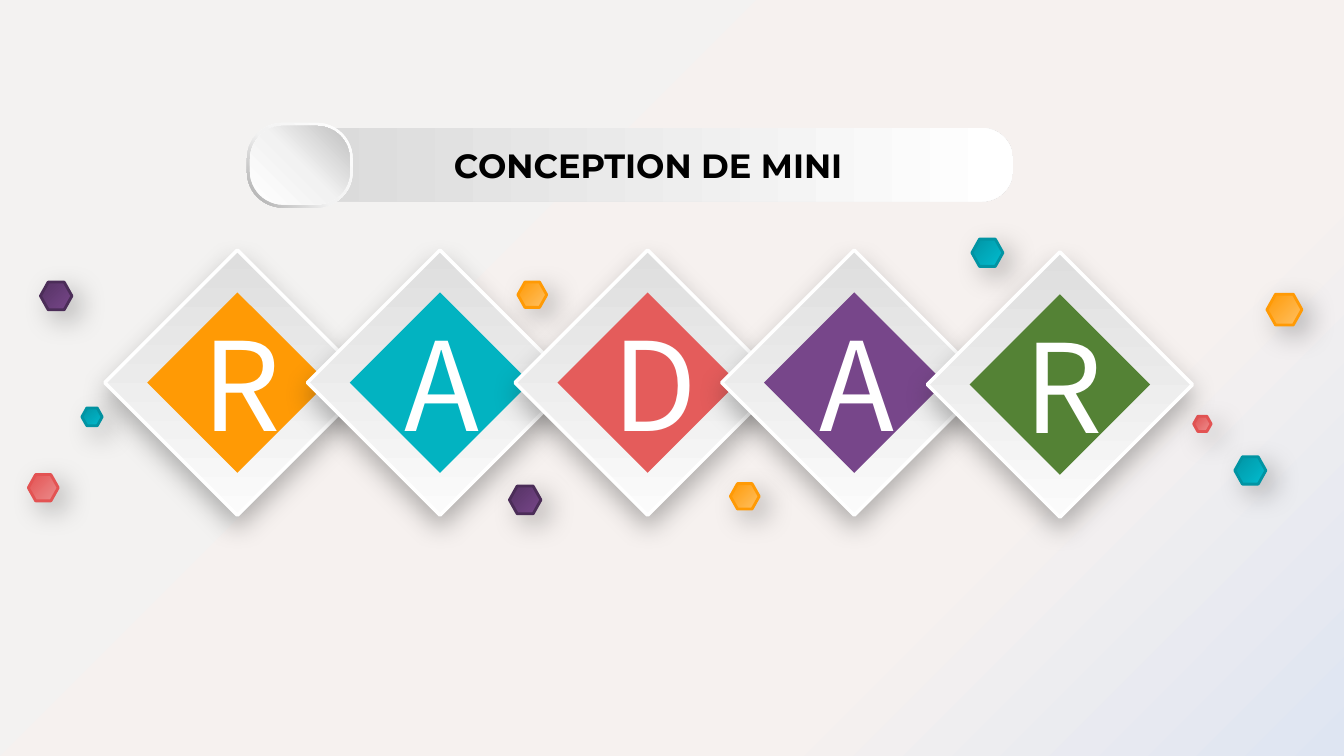
from dataclasses import dataclass

from lxml.etree import SubElement as Sub
from pptx import Presentation
from pptx.dml.color import RGBColor as RGB
from pptx.enum.shapes import MSO_SHAPE as Kind
from pptx.enum.text import MSO_ANCHOR as Anchor, PP_ALIGN as Align
from pptx.oxml.ns import qn
from pptx.util import Pt


@dataclass(frozen=True)
class Theme:
    white: str = "FFFFFF"
    black: str = "000000"
    orange: str = "FF9A05"
    teal: str = "02B3C1"
    red: str = "E45C5B"
    violet: str = "77468A"
    green: str = "548235"
    back: tuple = ((0, "F3F2F1"), (72, "F6F1EF"), (100, "DEE5F2"))
    bar: tuple = ((0, "D9D9D9"), (99, "FFFFFF"))
    rim: tuple = ((0, "FFFFFF"), (55, "F2F2F2"), (100, "A6A6A6"))
    knob: tuple = ((0, "FFFFFF"), (51, "F2F2F2"), (100, "BFBFBF"))
    plate: tuple = ((0, "DEDEDE"), (100, "FBFBFB"))
    # Gem styles: edge colour, then gradient from dark to light
    amber: tuple = ("FF9A05", ((0, "FF9A05"), (100, "FFC165")))
    aqua: tuple = ("0194A3", ((0, "0194A3"), (100, "01BDD1")))
    coral: tuple = ("E35353", ((0, "E35353"), (100, "EC8C8C")))
    plum: tuple = ("4B2D58", ((0, "553363"), (100, "77468A")))
    # Shadows: colour, opacity %, blur, distance, angle
    soft: tuple = ("000000", 25, 20, 9, 45)
    drop: tuple = ("262626", 33, 18, 8, 90)
    title: int = 24
    letter: int = 88


T = Theme()
BAR = (202.3, 91.4, 521.3, 52.6)
KNOB = (176.4, 87.8, 75.6, 60.5)
RIM = 2.15
PLATE, FACE = 189.4, 128.9
TILES = (
    ("R", T.orange, 74.9, 178.6),
    ("A", T.teal, 219.6, 178.6),
    ("D", T.red, 367.9, 178.6),
    ("A", T.violet, 515.5, 178.6),
    ("R", T.green, 662.4, 180),
)
RATIO = 0.88  # gem height to width
GEMS = (
    (T.amber, 905, 210.2, 25),
    (T.aqua, 694.2, 170.8, 22.2),
    (T.coral, 852.6, 297.3, 12.5),
    (T.plum, 363.9, 347.2, 22.5),
    (T.amber, 521.7, 345.5, 20.6),
    (T.aqua, 882, 326.3, 22.2),
    (T.plum, 28.9, 201.5, 22.5),
    (T.amber, 369.9, 201.5, 20.6),
    (T.aqua, 58.5, 291.4, 14.5),
    (T.coral, 20.2, 339, 21.4),
)


def grade(owner, fill, stops, angle):
    """Give the owner's fill a gradient running clockwise at the angle."""
    fill.gradient()
    fill.gradient_angle = (360 - angle) % 360
    ramp = owner.element.find(".//" + qn("a:gsLst"))
    for old in list(ramp):
        ramp.remove(old)
    for pos, tint in stops:
        stop = Sub(ramp, qn("a:gs"), pos=str(pos * 1000))
        Sub(stop, qn("a:srgbClr"), val=tint)


def shade(shape, tint, alpha, blur, dist, angle):
    """Cast an outer shadow."""
    cast = Sub(
        shape.element.spPr.find(qn("a:effectLst")), qn("a:outerShdw"),
        blurRad=str(Pt(blur)), dist=str(Pt(dist)),
        dir=str(angle * 60000), algn="ctr", rotWithShape="0",
    )
    color = Sub(cast, qn("a:srgbClr"), val=tint)
    Sub(color, qn("a:alpha"), val=str(alpha * 1000))


def draw(shapes, kind, box, fill, angle=0, adj=None):
    """Add a borderless preset with a plain or gradient fill."""
    shape = shapes.add_shape(kind, *map(Pt, box))
    shape.shadow.inherit = False
    shape.line.fill.background()
    if adj is not None:
        shape.adjustments[0] = adj
    if isinstance(fill, str):
        shape.fill.solid()
        shape.fill.fore_color.rgb = RGB.from_string(fill)
    else:
        grade(shape, shape.fill, fill, angle)
    return shape


def edge(shape, tint, width):
    shape.line.color.rgb = RGB.from_string(tint)
    shape.line.width = Pt(width)


def write(shape, text, tint, style):
    frame = shape.text_frame
    frame.vertical_anchor = Anchor.MIDDLE
    para = frame.paragraphs[0]
    para.alignment = Align.CENTER
    run = para.add_run()
    run.text = text
    run.font.color.rgb = RGB.from_string(tint)
    for name, value in style.items():
        setattr(run.font, name, value)


def inset(box, gap):
    left, top, width, height = box
    return left + gap, top + gap, width - 2 * gap, height - 2 * gap


def header(shapes):
    bar = draw(shapes, Kind.ROUNDED_RECTANGLE, BAR, T.bar, adj=0.423)
    write(bar, "CONCEPTION DE MINI", T.black,
          dict(size=Pt(T.title), name="Montserrat", bold=True))
    group = shapes.add_group_shape().shapes
    for box, fill, angle in ((KNOB, T.rim, 135), (inset(KNOB, RIM), T.knob, 315)):
        draw(group, Kind.ROUNDED_RECTANGLE, box, fill, angle, 0.423)


def gem(shapes, style, left, top, width):
    tint, stops = style
    box = (left, top, width, width * RATIO)
    shape = draw(shapes, Kind.HEXAGON, box, stops, 45, 0.28)
    edge(shape, tint, 2)
    Sub(shape.line._get_or_add_ln(), qn("a:round"))
    shade(shape, *T.soft)


def tile(shapes, text, tint, left, top):
    group = shapes.add_group_shape().shapes
    box = (left, top, PLATE, PLATE)
    plate = draw(group, Kind.DIAMOND, box, T.plate, 90)
    edge(plate, T.white, 2.5)
    shade(plate, *T.drop)
    face = draw(group, Kind.DIAMOND, inset(box, (PLATE - FACE) / 2), tint)
    write(face, text, T.white,
          dict(size=Pt(T.letter), name="Noto Sans CJK JP"))


def main():
    deck = Presentation()
    deck.slide_width, deck.slide_height = Pt(960), Pt(540)
    slide = deck.slides.add_slide(deck.slide_layouts[6])
    grade(slide, slide.background.fill, T.back, 45)
    header(slide.shapes)
    for item in GEMS:
        gem(slide.shapes, *item)
    for item in TILES:
        tile(slide.shapes, *item)
    deck.save("out.pptx")


if __name__ == "__main__":
    main()
